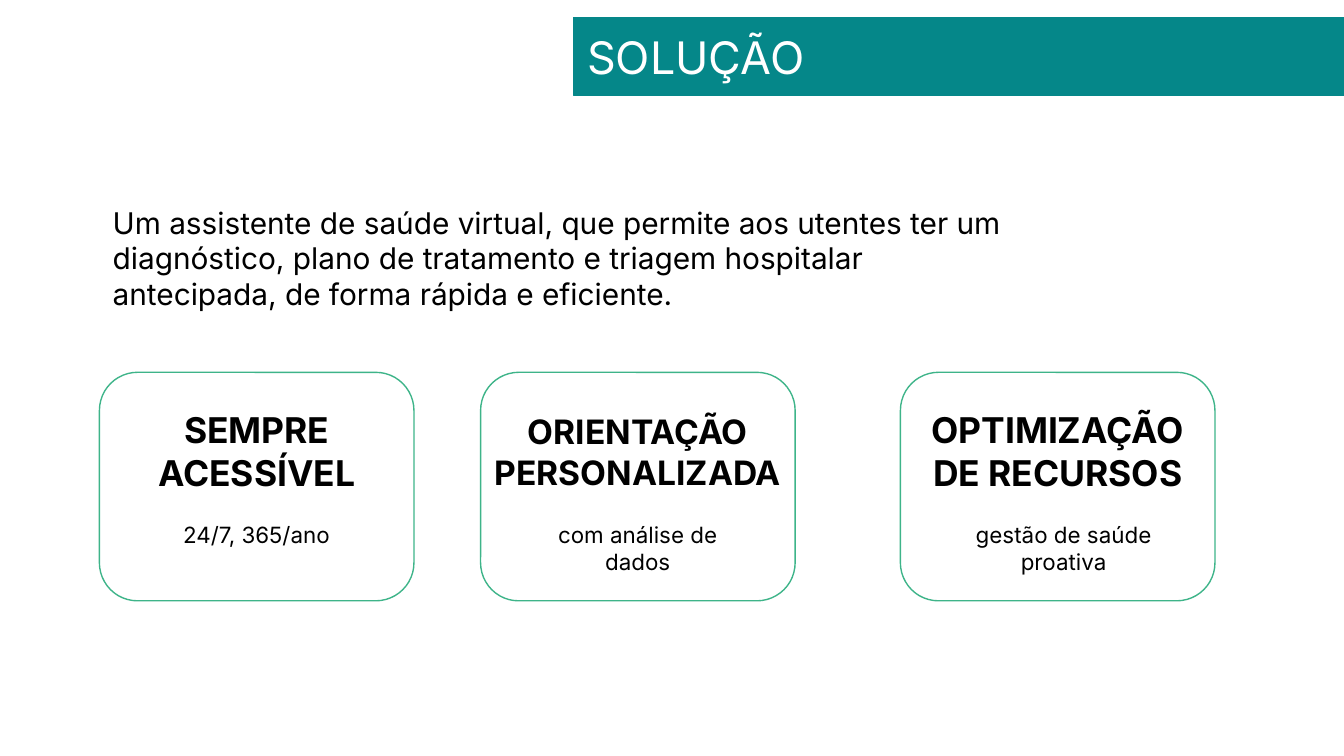
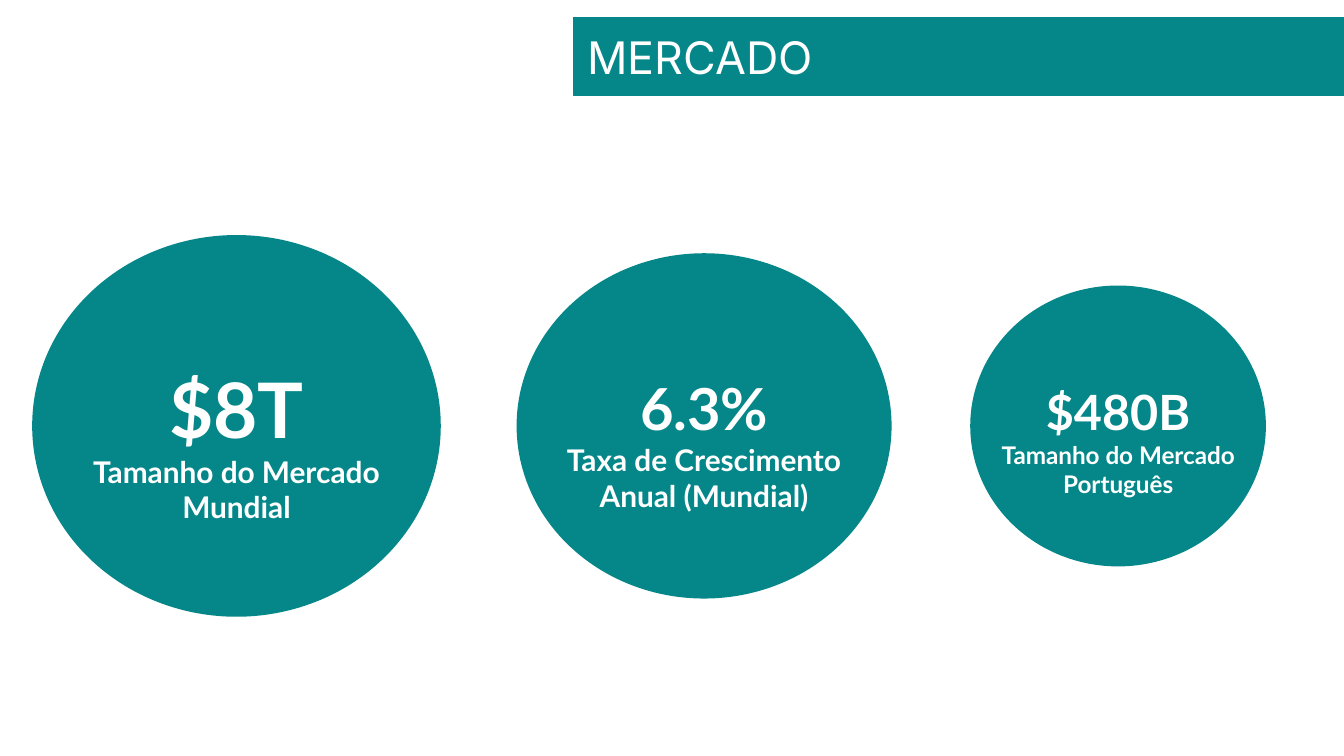
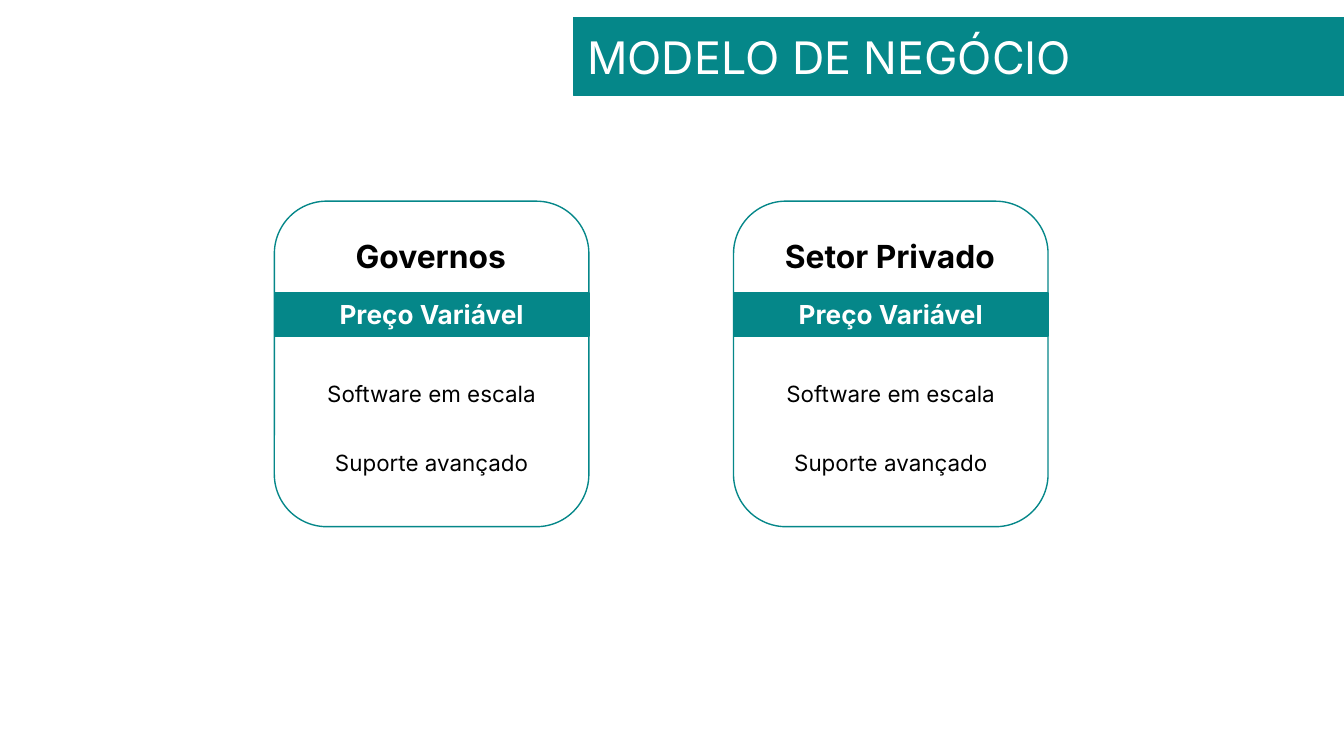
"""Build three pitch slides: solution, market and business model."""
from pptx import Presentation
from pptx.dml.color import RGBColor
from pptx.enum.shapes import MSO_SHAPE
from pptx.enum.text import MSO_ANCHOR, MSO_AUTO_SIZE, PP_ALIGN
from pptx.util import Pt

TEAL = RGBColor(0x05, 0x87, 0x89)
MINT = RGBColor(0x3E, 0xB4, 0x89)
WHITE = RGBColor(0xFF, 0xFF, 0xFF)
BLACK = RGBColor(0x00, 0x00, 0x00)
SANS, ROUND = "Inter", "Lato"
LEFT, CENTER = PP_ALIGN.LEFT, PP_ALIGN.CENTER
TOP, MIDDLE = MSO_ANCHOR.TOP, MSO_ANCHOR.MIDDLE
NO_FIT = MSO_AUTO_SIZE.NONE
RECT, OVAL = MSO_SHAPE.RECTANGLE, MSO_SHAPE.OVAL
ROUNDED = MSO_SHAPE.ROUNDED_RECTANGLE
TITLE_ONLY = 5
CARD_W = 168.5


def write(sp, lines, color=BLACK, bold=False, align=CENTER, anchor=TOP, font=SANS):
    """Fill a shape with one paragraph for each (text, size) pair."""
    tf = sp.text_frame
    tf.word_wrap = True
    tf.auto_size = NO_FIT
    tf.vertical_anchor = anchor
    tf.margin_left = tf.margin_right = tf.margin_top = tf.margin_bottom = Pt(7.2)
    tf.text = "\n".join(text for text, size in lines)
    for p, (text, size) in zip(tf.paragraphs, lines):
        p.alignment = align
        for r in p.runs:
            r.font.name = font
            r.font.size = Pt(size)
            r.font.bold = bold
            r.font.color.rgb = color


def add_text(slide, box, lines, **style):
    """Add a text box at box (left, top, width, height)."""
    write(slide.shapes.add_textbox(*map(Pt, box)), lines, **style)


def paint(sp, fill, line):
    """Set the fill and the outline of a shape."""
    sp.fill.solid()
    sp.fill.fore_color.rgb = fill
    if line is None:
        sp.line.fill.background()
    else:
        sp.line.color.rgb = line
        sp.line.width = Pt(0.75)


def add_box(slide, kind, box, fill, line=None):
    """Add a flat preset shape and return it."""
    sp = slide.shapes.add_shape(kind, *map(Pt, box))
    sp.shadow.inherit = False
    paint(sp, fill, line)
    return sp


def add_slide(prs, title):
    """Add a slide with its title on the teal band."""
    slide = prs.slides.add_slide(prs.slide_layouts[TITLE_ONLY])
    sp = slide.shapes.title
    sp.left, sp.top, sp.width, sp.height = map(Pt, (307.4, 9.4, 417, 41.8))
    paint(sp, TEAL, TEAL)
    write(sp, [(title, 24)], color=WHITE, align=LEFT, anchor=MIDDLE)
    return slide


def add_benefit(slide, left, heading, size, top, detail, detail_w):
    """Add a benefit card with a two-line heading and a detail."""
    add_box(slide, ROUNDED, (left, 199.5, CARD_W, 122.4), WHITE, MINT)
    add_text(slide, (left - 7.5, top, CARD_W + 15, 60.5),
             [(text, size) for text in heading], bold=True)
    add_text(slide, (left + 20.8, 272.2, detail_w, 44), [(detail, 12)])


def add_market(slide, center, width, height, text_top, text_w, lines):
    """Add a market circle with its figure and caption."""
    add_box(slide, OVAL, (center - width / 2, 228.2 - height / 2, width, height), TEAL)
    add_text(slide, (center - text_w / 2, text_top, text_w, 100), lines,
             color=WHITE, bold=True, font=ROUND)


def add_offer(slide, left, customer):
    """Add an offer card for one kind of customer."""
    add_box(slide, ROUNDED, (left, 107.8, CARD_W, 174.4), WHITE, TEAL)
    add_text(slide, (left + 17.3, 119.5, 133, 35.3), [(customer, 17)], bold=True)
    band = add_box(slide, RECT, (left, 157, CARD_W, 23), TEAL, TEAL)
    write(band, [("Preço Variável", 14)], color=WHITE, bold=True, anchor=MIDDLE)
    for i, text in enumerate(("Software em escala", "Suporte avançado")):
        add_text(slide, (left, 196.5 + 36.9 * i, CARD_W, 28.8), [(text, 12)])


def main():
    """Build and save the presentation."""
    prs = Presentation()
    prs.slide_width, prs.slide_height = Pt(720), Pt(405)

    slide = add_slide(prs, "SOLUÇÃO")
    add_text(slide, (53.3, 102.2, 503.3, 111.6), [(
        "Um assistente de saúde virtual, que permite aos utentes ter um "
        "diagnóstico, plano de tratamento e triagem hospitalar antecipada, "
        "de forma rápida e eficiente.", 16)], align=LEFT)
    for benefit in (
        (53.3, ("SEMPRE", "ACESSÍVEL"), 19, 211.7, "24/7, 365/ano", 126.7),
        (257.5, ("ORIENTAÇÃO", "PERSONALIZADA"), 18, 213.1,
         "com análise de dados", 126.7),
        (482.4, ("OPTIMIZAÇÃO", "DE RECURSOS"), 19, 211.7,
         "gestão de saúde proativa", 133.2),
    ):
        add_benefit(slide, *benefit)

    slide = add_slide(prs, "MERCADO")
    for market in (
        (126.7, 218.9, 204.5, 186.5, 203,
         [("$8T", 41), ("Tamanho do Mercado Mundial", 16)]),
        (377.2, 200.9, 185, 192.2, 193,
         [("6.3%", 31), ("Taxa de Crescimento Anual (Mundial)", 16)]),
        (599, 158.4, 150.5, 197.3, 210.2,
         [("$480B", 26), ("Tamanho do Mercado", 13), ("Português", 13)]),
    ):
        add_market(slide, *market)

    slide = add_slide(prs, "MODELO DE NEGÓCIO")
    add_offer(slide, 147, "Governos")
    add_offer(slide, 393, "Setor Privado")

    prs.save("out.pptx")


if __name__ == "__main__":
    main()
